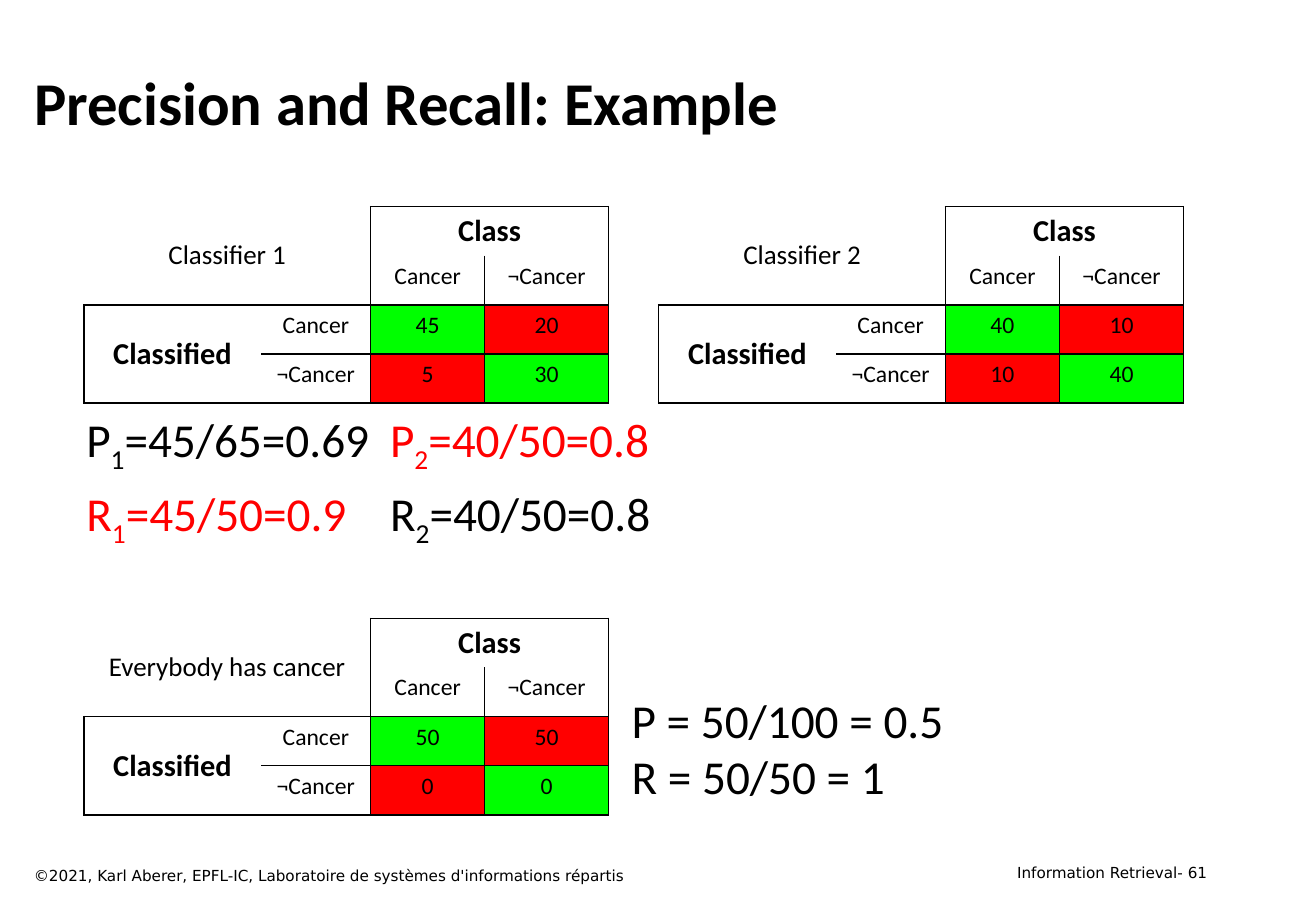
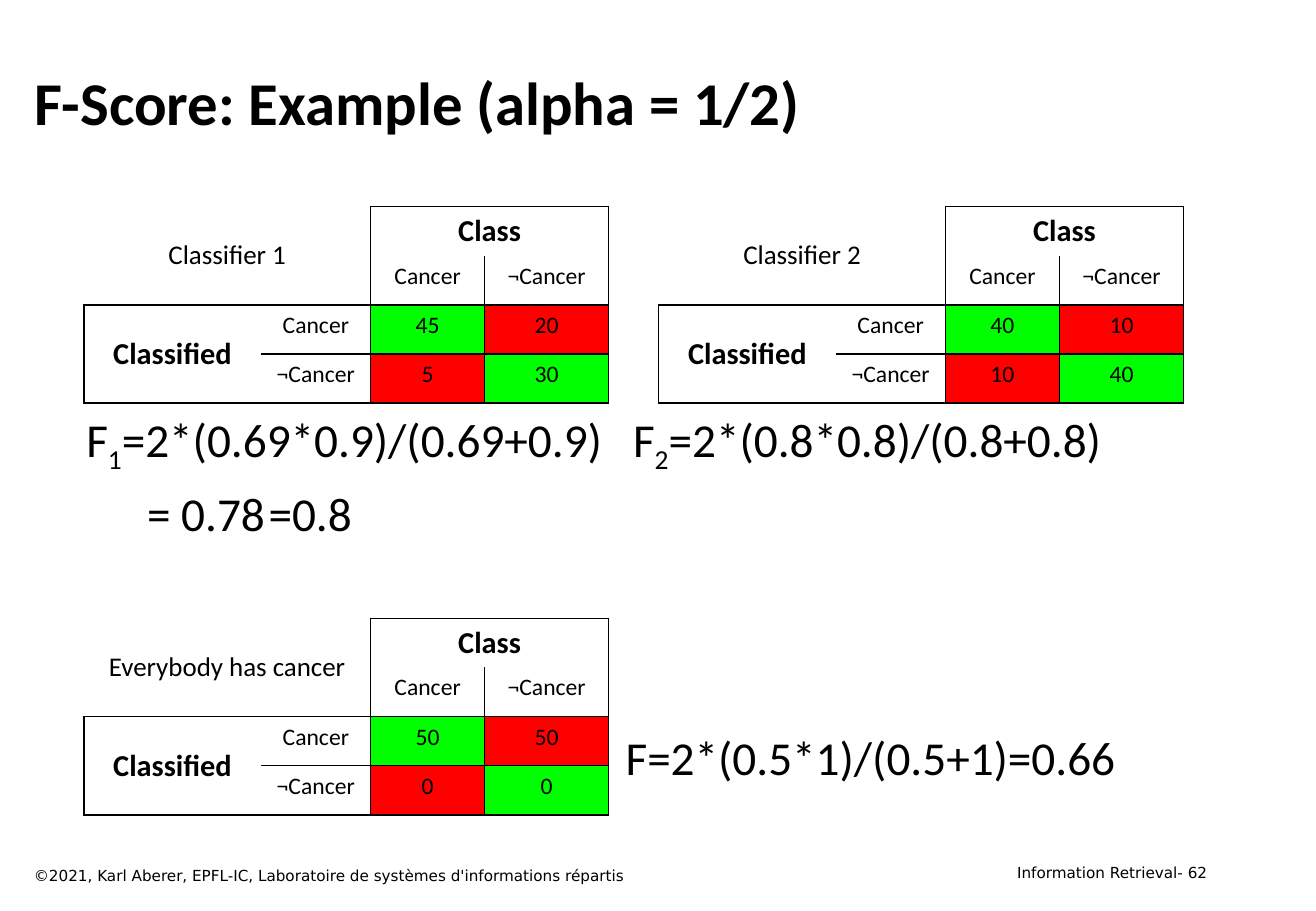
from lxml.etree import SubElement as Sub
from pptx import Presentation
from pptx.dml.color import RGBColor as RGB
from pptx.enum.text import MSO_ANCHOR as ANCHOR, MSO_AUTO_SIZE as AUTO, PP_ALIGN as ALIGN
from pptx.oxml.ns import qn
from pptx.util import Inches, Pt

BLACK, RED, GREEN = "000000", "FF0000", "00FF00"
TITLE = dict(name="Calibri", size=Pt(36), bold=True)
FORMULA = dict(name="Calibri", size=Pt(28), bold=False)
FOOTER = dict(name="DejaVu Sans", size=Pt(9), bold=False)
NAME = dict(name="Calibri", size=Pt(16), bold=False)
HEAD = dict(name="Calibri", size=Pt(18), bold=True)
CELL = dict(name="Calibri", size=Pt(14), bold=False)
NO_STYLE = "{2D5ABB26-0587-4C30-8999-92F81FD0307C}"
COLS, ROW = (13.48, 8.31, 8.68, 9.42), 5.4
BORDERS = (("", "", "LRT", "LRT"), ("", "", "LRB", "LRB"),
           ("LTB", "RTB", "LRTB", "LRTB"), ("LTB", "RTB", "LRTB", "LRTB"))
LEFT, RIGHT, UPPER, LOWER = 6.37, 50.05, 22.67, 67.87
MATRICES = (("Classifier 1", (45, 20, 5, 30), LEFT, UPPER),
            ("Classifier 2", (40, 10, 10, 40), RIGHT, UPPER),
            ("Everybody has cancer", (50, 50, 0, 0), LEFT, LOWER))
COPYRIGHT = "©2021, Karl Aberer, EPFL-IC, Laboratoire de systèmes d'informations répartis"


def rgb(color):
    """Turn a hex string into a colour."""
    return RGB.from_string(color)


class Deck:
    """Hold the style and the current slide; lengths are percent of the slide."""

    def __init__(self):
        """Start an empty deck."""
        self.prs = Presentation()
        self.prs.slide_width, self.prs.slide_height = Inches(10.83), Inches(7.5)

    def x(self, share):
        """Give a share of the slide width."""
        return int(self.prs.slide_width * share / 100)

    def y(self, share):
        """Give a share of the slide height."""
        return int(self.prs.slide_height * share / 100)

    def box(self, x, y, w, h):
        """Give a place on the slide."""
        return self.x(x), self.y(y), self.x(w), self.y(h)

    def place(self, sp, *at):
        """Move a placeholder."""
        sp.left, sp.top, sp.width, sp.height = self.box(*at)
        return sp.text_frame

    def run(self, p, text, style, color=BLACK, sub=False):
        """Add one formatted run."""
        if not text:
            return
        r = p.add_run()
        r.text = text
        for key, value in style.items():
            setattr(r.font, key, value)
        r.font.color.rgb = rgb(color)
        if sub:
            r._r.get_or_add_rPr().set("baseline", "-25000")

    def lines(self, tf, lines, style, align=ALIGN.LEFT, gap=0):
        """Set lines of coloured parts, where _ lowers the next character."""
        for i, (parts, *stops) in enumerate(lines):
            p = tf.paragraphs[0] if i == 0 else tf.add_paragraph()
            pPr = p._p.get_or_add_pPr()
            pPr.set("marL", "0")
            pPr.set("indent", "0")
            Sub(pPr, qn("a:buNone"))
            if stops:
                tabs = Sub(pPr, qn("a:tabLst"))
                for stop in stops:
                    Sub(tabs, qn("a:tab"), pos=str(self.x(stop)), algn="l")
            p.alignment, p.space_before = align, Pt(gap if i else 0)
            for text, color in parts:
                first, *rest = text.split("_")
                self.run(p, first, style, color)
                for piece in rest:
                    self.run(p, piece[0], style, color, sub=True)
                    self.run(p, piece[1:], style, color)

    def slide(self, title, number):
        """Add a slide with its title and footers."""
        self.s = self.prs.slides.add_slide(self.prs.slide_layouts[1])
        tf = self.place(self.s.shapes.title, 1.66, 4.4, 90.86, 13.33)
        tf.auto_size, tf.vertical_anchor = AUTO.NONE, ANCHOR.MIDDLE
        self.lines(tf, [([(title, BLACK)],)], TITLE)
        self.text([COPYRIGHT], (1.66, 94.4, 64.17, 3.33), FOOTER)
        self.text([f"Information Retrieval- {number}"],
                  (71.75, 94.13, 20.87, 3.33), FOOTER, ALIGN.RIGHT)

    def body(self, lines):
        """Fill the body placeholder with formulas."""
        tf = self.place(self.s.placeholders[1], 5.63, 44.4, 83.84, 17.33)
        tf.auto_size, tf.vertical_anchor = AUTO.NONE, ANCHOR.TOP
        self.lines(tf, lines, FORMULA, gap=5.6)

    def text(self, lines, at, style=FORMULA, align=ALIGN.LEFT):
        """Add a text box."""
        tf = self.s.shapes.add_textbox(*self.box(*at)).text_frame
        tf.word_wrap = style is FOOTER
        self.lines(tf, [([(line, BLACK)],) for line in lines], style, align)

    def cell(self, cell, text, style, fill, sides):
        """Format one table cell."""
        tcPr = cell._tc.get_or_add_tcPr()
        for side in sides:
            ln = Sub(tcPr, qn(f"a:ln{side}"), w=str(Pt(1)))
            Sub(Sub(ln, qn("a:solidFill")), qn("a:srgbClr"), val=BLACK)
        if fill:
            cell.fill.solid()
            cell.fill.fore_color.rgb = rgb(fill)
        else:
            cell.fill.background()
        cell.vertical_anchor = ANCHOR.TOP if style is CELL else ANCHOR.MIDDLE
        if text:
            self.lines(cell.text_frame, [([(text, BLACK)],)], style, ALIGN.CENTER)

    def matrix(self, name, values, x, y):
        """Add a confusion matrix."""
        at = self.box(x, y, sum(COLS), 4 * ROW)
        table = self.s.shapes.add_table(4, 4, *at).table
        table._tbl.tblPr.find(qn("a:tableStyleId")).text = NO_STYLE
        table.first_row = table.horz_banding = False
        for col, width in zip(table.columns, COLS):
            col.width = self.x(width)
        for row in table.rows:
            row.height = self.y(ROW)
        a, b, c, d = map(str, values)
        rows = ((name, "", "Class", ""), ("", "", "Cancer", "¬Cancer"),
                ("Classified", "Cancer", a, b), ("", "¬Cancer", c, d))
        styles = {(0, 0): NAME, (0, 2): HEAD, (2, 0): HEAD}
        for i, row in enumerate(rows):
            for j, text in enumerate(row):
                fill = (GREEN if i == j else RED) if i > 1 and j > 1 else None
                self.cell(table.cell(i, j), text, styles.get((i, j), CELL),
                          fill, BORDERS[i][j])
        for start, end in (((0, 0), (1, 1)), ((0, 2), (0, 3)), ((2, 0), (3, 0))):
            table.cell(*start).merge(table.cell(*end))


def main():
    """Build both slides."""
    deck = Deck()
    slides = (
        ("Precision and Recall: Example",
         [([("P_1=45/65=0.69\t", BLACK), ("P_2=40/50=0.8", RED)], 37.58),
          ([("R_1=45/50=0.9", RED), ("\tR_2=40/50=0.8", BLACK)], 37.58)],
         ["P = 50/100 = 0.5", "R = 50/50 = 1"], (47.09, 75.2, 25.95, 13.87)),
        ("F-Score: Example (alpha = 1/2)",
         [([("F_1=2*(0.69*0.9)/(0.69+0.9)\tF_2=2*(0.8*0.8)/(0.8+0.8)", BLACK)], 42.38),
          ([("\t= 0.78\t=0.8", BLACK)], 3.23, 40.17)],
         ["F=2*(0.5*1)/(0.5+1)=0.66"], (46.63, 79.33, 40.44, 7.6)))
    for number, (title, formulas, result, at) in enumerate(slides, 61):
        deck.slide(title, number)
        deck.body(formulas)
        for matrix in MATRICES:
            deck.matrix(*matrix)
        deck.text(result, at)
    deck.prs.save("out.pptx")


if __name__ == "__main__":
    main()
